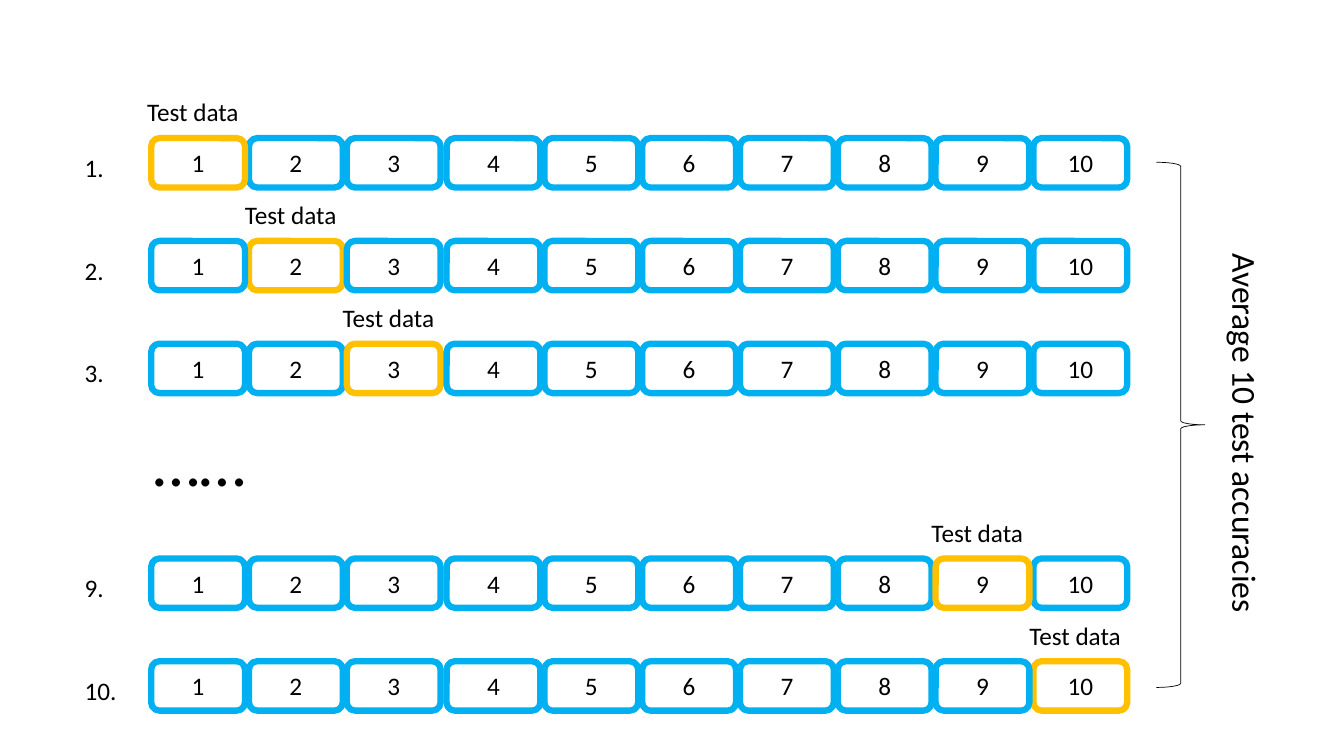
from pptx import Presentation
from pptx.dml.color import RGBColor
from pptx.enum.shapes import MSO_SHAPE
from pptx.enum.text import MSO_ANCHOR, PP_ALIGN
from pptx.util import Inches, Pt

ROUNDED = MSO_SHAPE.ROUNDED_RECTANGLE
BRACE = MSO_SHAPE.RIGHT_BRACE
MIDDLE = MSO_ANCHOR.MIDDLE
CENTER = PP_ALIGN.CENTER

COLORS = {"train": "00B0F0", "test": "FFC000", "paper": "FFFFFF", "ink": "000000"}
FONT = "Calibri"
BLANK_LAYOUT = 6

# Grid of folds, in inches
GRID_LEFT, FOLD_PITCH = 1.5, 0.97
FOLD_WIDTH, FOLD_HEIGHT = 0.93, 0.49
FIRST_TOP, LATER_TOP, ROUND_PITCH = 1.37, 5.54, 1.02
NUMBER_LEFT, TEXT_HEIGHT = 0.74, 0.4

# Round number -> top of its row, with a gap for the skipped rounds
ROUND_TOPS = {number: FIRST_TOP + ROUND_PITCH * (number - 1) for number in (1, 2, 3)}
ROUND_TOPS |= {number: LATER_TOP + ROUND_PITCH * (number - 9) for number in (9, 10)}

# Neighbouring outlines overlap, so the stacking order shows
STACKING = (2, 3, 4, 10, 1, 5, 6, 7, 8, 9)


def color(name):
    return RGBColor.from_string(COLORS[name])


def fold_left(fold):
    # Folds from the fourth on sit slightly to the right
    return GRID_LEFT + FOLD_PITCH * (fold - 1) + (0.02 if fold >= 4 else 0)


def write(shape, text, size):
    shape.text_frame.text = text
    font = shape.text_frame.paragraphs[0].runs[0].font
    font.name, font.size = FONT, Pt(size)
    font.color.rgb = color("ink")


def add_label(slide, text, left, top, width, height=TEXT_HEIGHT, size=18):
    label = slide.shapes.add_textbox(*map(Inches, (left, top, width, height)))
    label.text_frame.word_wrap = True
    write(label, text, size)
    return label


def add_fold(slide, fold, top, role):
    box = slide.shapes.add_shape(
        ROUNDED, *map(Inches, (fold_left(fold), top, FOLD_WIDTH, FOLD_HEIGHT)))
    box.shadow.inherit = False
    box.fill.solid()
    box.fill.fore_color.rgb = color("paper")
    box.line.color.rgb = color(role)
    box.line.width = Pt(4.5)
    write(box, str(fold), 18)
    box.text_frame.vertical_anchor = MIDDLE
    box.text_frame.paragraphs[0].alignment = CENTER


def add_round(slide, number, top):
    for fold in STACKING:
        add_fold(slide, fold, top, "test" if fold == number else "train")
    add_label(slide, f"{number}.", NUMBER_LEFT, top + 0.09, 0.68)
    add_label(slide, "Test data", fold_left(number) - 0.14, top - 0.46, 1.21)


def add_brace(slide, left, top, width, height):
    brace = slide.shapes.add_shape(BRACE, *map(Inches, (left, top, width, height)))
    brace.shadow.inherit = False
    brace.fill.background()
    brace.line.color.rgb = color("ink")
    brace.line.width = Pt(0.5)


def main():
    deck = Presentation()
    deck.slide_width, deck.slide_height = Inches(13.33), Inches(7.5)
    slide = deck.slides.add_slide(deck.slide_layouts[BLANK_LAYOUT])

    # Rounds of cross-validation
    for number, top in ROUND_TOPS.items():
        add_round(slide, number, top)
    add_label(slide, "……", 1.42, 4.11, 1.63, 0.91, size=48)

    # Summary of all rounds
    add_brace(slide, 11.47, 1.61, 0.48, 5.21)
    summary = add_label(slide, "Average 10 test accuracies", 10.43, 4.09, 3.85, 0.5, size=24)
    summary.rotation = 90

    deck.save("out.pptx")


main()
